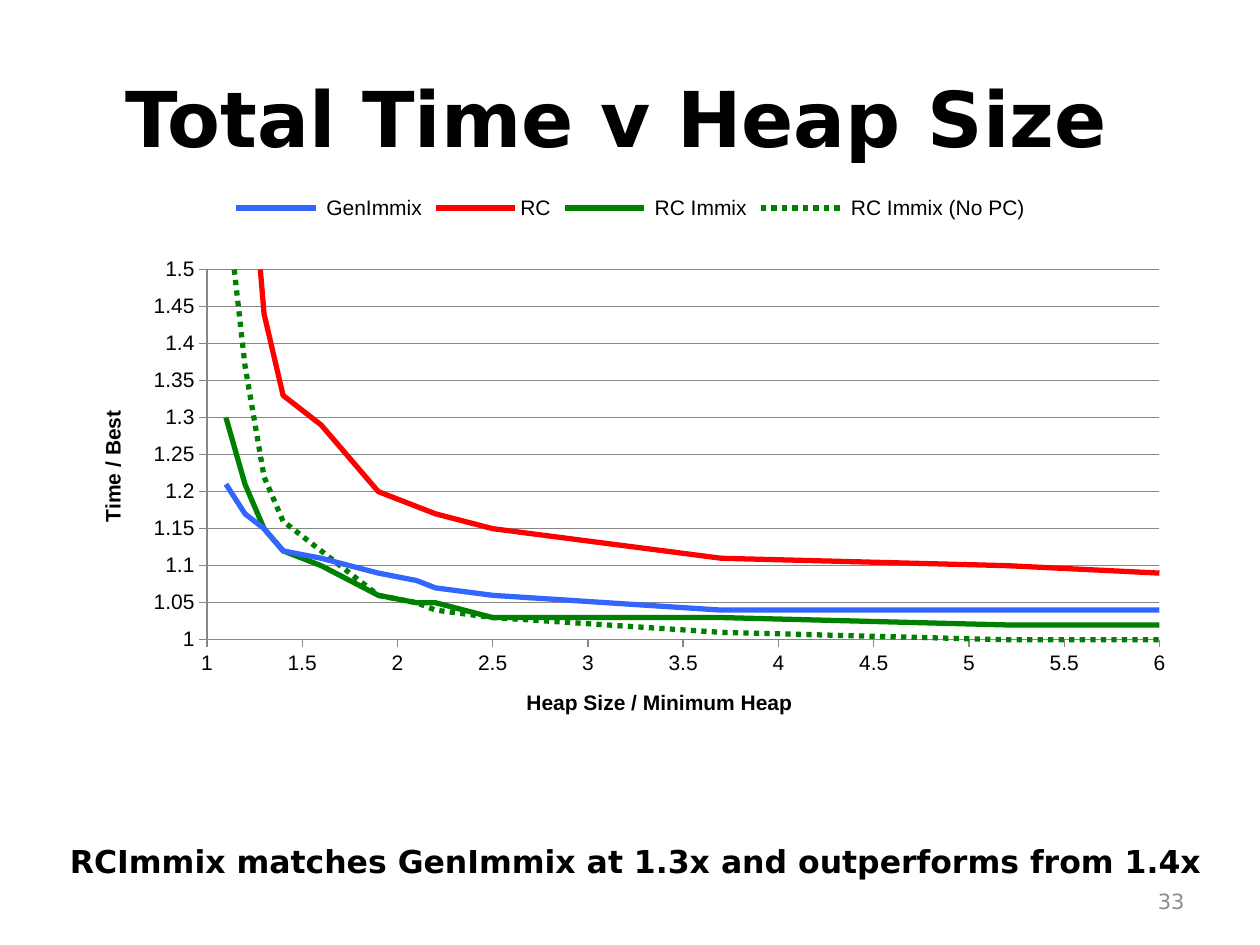
"""Build the slide comparing total time with heap size for four collectors."""
from dataclasses import dataclass

import lxml.etree
import pptx
import pptx.chart.data
import pptx.dml.color
import pptx.enum.chart
import pptx.enum.dml
import pptx.enum.text
import pptx.util

WIDE, HIGH = pptx.util.Inches(10), pptx.util.Inches(7.5)
FACE = "DejaVu Sans"
HUES = {"ink": "000000", "page": "8C8C8C", "grid": "878787",
        "blue": "3366FF", "red": "FF0000", "green": "008000"}
HEAPS = (1.1, 1.2, 1.3, 1.4, 1.6, 1.9, 2.1, 2.2, 2.5, 3.7, 5.2, 6)
ALIGN = pptx.enum.text.PP_ALIGN
MIDDLE = pptx.enum.text.MSO_ANCHOR.MIDDLE


@dataclass(frozen=True)
class Box:
    """A frame given as percentages of the slide's width and height."""
    left: float
    top: float
    width: float
    height: float

    def frame(self) -> tuple:
        """Return left, top, width and height as lengths."""
        return (int(WIDE * self.left / 100), int(HIGH * self.top / 100),
                int(WIDE * self.width / 100), int(HIGH * self.height / 100))


@dataclass(frozen=True)
class Curve:
    """One collector's relative times over the heap sizes."""
    name: str
    hue: str
    times: tuple
    dotted: bool = False


CURVES = (
    Curve(" GenImmix", "blue", (1.21, 1.17, 1.15, 1.12, 1.11, 1.09,
                                1.08, 1.07, 1.06, 1.04, 1.04, 1.04)),
    Curve("RC", "red", (2.45, 1.75, 1.44, 1.33, 1.29, 1.2,
                        1.18, 1.17, 1.15, 1.11, 1.1, 1.09)),
    Curve(" RC Immix", "green", (1.3, 1.21, 1.15, 1.12, 1.1, 1.06,
                                 1.05, 1.05, 1.03, 1.03, 1.02, 1.02)),
    Curve(" RC Immix (No PC)", "green", (1.6, 1.37, 1.22, 1.16, 1.12, 1.06,
                                         1.05, 1.04, 1.03, 1.01, 1, 1), True),
)


def paint(font, size: float, bold: bool, hue: str = "ink", face: str = FACE) -> None:
    """Set a font's face, size, weight and colour."""
    font.name, font.size, font.bold = face, pptx.util.Pt(size), bold
    font.color.rgb = pptx.dml.color.RGBColor.from_string(HUES[hue])


def write(shape, text: str, size: float, bold: bool, align, hue: str = "ink") -> None:
    """Fill a shape with one formatted line of text."""
    frame = shape.text_frame
    frame.word_wrap = True
    frame.text = text
    line = frame.paragraphs[0]
    line.alignment = align
    paint(line.runs[0].font, size, bold, hue)


def label(slide, box: Box, text: str, size: float, bold: bool, align, hue: str = "ink"):
    """Add a text box and return it."""
    shape = slide.shapes.add_textbox(*box.frame())
    write(shape, text, size, bold, align, hue)
    return shape


def scale(axis, title: str, top: float, step: float, form: str) -> None:
    """Set an axis's title, range, ticks and line."""
    axis.minimum_scale, axis.maximum_scale, axis.major_unit = 1, top, step
    axis.major_tick_mark = pptx.enum.chart.XL_TICK_MARK.OUTSIDE
    axis.minor_tick_mark = pptx.enum.chart.XL_TICK_MARK.NONE
    axis.tick_label_position = pptx.enum.chart.XL_TICK_LABEL_POSITION.NEXT_TO_AXIS
    axis.tick_labels.number_format = form
    axis.tick_labels.number_format_is_linked = False
    trace(axis.format.line, "grid", 0.75)
    frame = axis.axis_title.text_frame
    frame.text = title
    paint(frame.paragraphs[0].runs[0].font, 12, True, face="Arial")


def trace(line, hue: str, width: float) -> None:
    """Set a line's colour and width."""
    line.color.rgb = pptx.dml.color.RGBColor.from_string(HUES[hue])
    line.width = pptx.util.Pt(width)


def place(chart, **shares: float) -> None:
    """Fix the inner plot area as shares of the chart."""
    area = chart.plots[0]._element.getparent()
    space = "{http://schemas.openxmlformats.org/drawingml/2006/chart}"
    for old in area.findall(space + "layout"):
        area.remove(old)
    layout = lxml.etree.Element(space + "layout")
    area.insert(0, layout)
    manual = lxml.etree.SubElement(layout, space + "manualLayout")
    parts = {"layoutTarget": "inner", "xMode": "edge", "yMode": "edge", **shares}
    for tag, value in parts.items():
        lxml.etree.SubElement(manual, space + tag, val=str(value))


def plot(slide, box: Box) -> None:
    """Add the scatter chart of all curves."""
    data = pptx.chart.data.XyChartData()
    for curve in CURVES:
        group = data.add_series(curve.name)
        for heap, time in zip(HEAPS, curve.times):
            group.add_data_point(heap, time)
    kind = pptx.enum.chart.XL_CHART_TYPE.XY_SCATTER_LINES_NO_MARKERS
    chart = slide.shapes.add_chart(kind, *box.frame(), data).chart
    paint(chart.font, 12, False, face="Arial")
    chart.has_title = False
    chart.has_legend = True
    chart.legend.position = pptx.enum.chart.XL_LEGEND_POSITION.TOP
    chart.legend.include_in_layout = False
    chart.plots[0].vary_by_categories = False
    scale(chart.category_axis, "Heap Size / Minimum Heap", 6, 0.5, "General")
    scale(chart.value_axis, "Time / Best", 1.5, 0.05, "General")
    chart.category_axis.has_major_gridlines = False
    chart.value_axis.has_major_gridlines = True
    trace(chart.value_axis.major_gridlines.format.line, "grid", 0.75)
    for curve, series in zip(CURVES, chart.plots[0].series):
        series.smooth = False
        trace(series.format.line, curve.hue, 3)
        if curve.dotted:
            series.format.line.dash_style = pptx.enum.dml.MSO_LINE.ROUND_DOT
    place(chart, x=0.126, y=0.15, w=0.841, h=0.639)


def main() -> None:
    """Build and save the slide."""
    deck = pptx.Presentation()
    deck.slide_width, deck.slide_height = WIDE, HIGH
    slide = deck.slides.add_slide(deck.slide_layouts.get_by_name("Title Only"))
    title = slide.shapes.title
    title.left, title.top, title.width, title.height = Box(5, 4, 90, 16.67).frame()
    write(title, "Total Time v Heap Size ", 44, True, ALIGN.CENTER)
    title.text_frame.vertical_anchor = MIDDLE
    label(slide, Box(2, 88.4, 96.9, 5.33),
          "RCImmix matches GenImmix at 1.3x and outperforms from 1.4x",
          18, True, ALIGN.CENTER)
    plot(slide, Box(5.1, 19.33, 89.9, 61.33))
    page = label(slide, Box(71.7, 92.67, 23.3, 5.33), "33", 12, False, ALIGN.RIGHT, "page")
    page.text_frame.vertical_anchor = MIDDLE
    deck.save("out.pptx")


if __name__ == "__main__":
    main()
